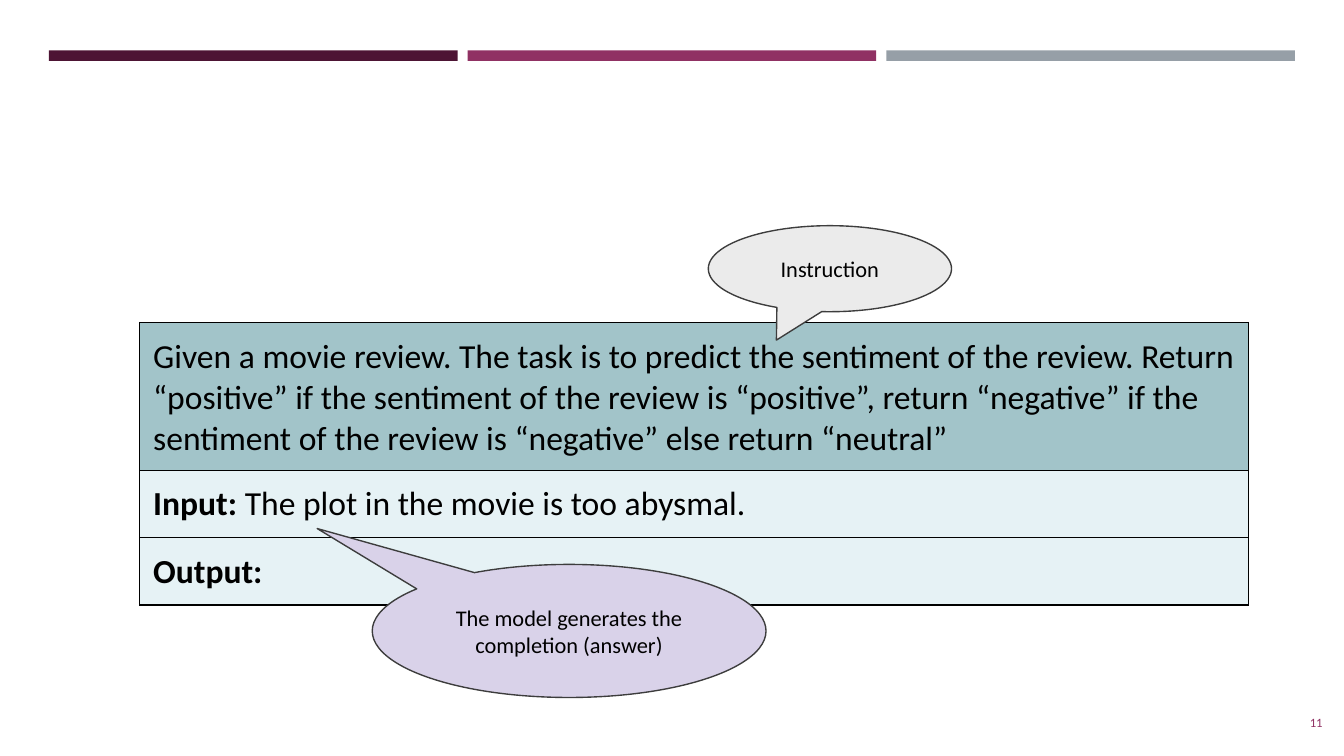
from lxml.etree import SubElement
from pptx import Presentation
from pptx.dml.color import RGBColor
from pptx.enum.shapes import MSO_SHAPE as SHAPE
from pptx.enum.text import MSO_ANCHOR as ANCHOR, PP_ALIGN as ALIGN
from pptx.oxml.ns import qn
from pptx.util import Inches, Pt

PLUM = RGBColor(0x4D, 0x14, 0x34)
MAGENTA = RGBColor(0x90, 0x31, 0x63)
SLATE = RGBColor(0x96, 0x9F, 0xA7)
TEAL = RGBColor(0xA2, 0xC4, 0xC9)
ICE = RGBColor(0xE6, 0xF2, 0xF5)
PALE = RGBColor(0xEB, 0xEB, 0xEB)
LILAC = RGBColor(0xD9, 0xD2, 0xE9)
DARK = RGBColor(0x3D, 0x3D, 0x3D)
BLACK = RGBColor(0, 0, 0)

COLS, ROWS = 100, 56.25
UNIT = Inches(0.1)
INSET = 1
MARGINS = ("margin_left", "margin_right", "margin_top", "margin_bottom")

PROMPT = [
    (11, TEAL, [("Given a movie review. The task is to predict the sentiment of the "
                 "review. Return “positive” if the sentiment of the review is "
                 "“positive”, return “negative” if the sentiment of the review is "
                 "“negative” else return “neutral”", False)]),
    (5, ICE, [("Input:", True), (" The plot in the movie is too abysmal.", False)]),
    (5, ICE, [("Output:", True)]),
]


def grid(*cells):
    return [int(c * UNIT) for c in cells]


def set_margins(target):
    for name in MARGINS:
        setattr(target, name, int(INSET * UNIT))


def write(p, runs, size, color=BLACK, align=ALIGN.LEFT):
    p.alignment = align
    for text, bold in runs:
        r = p.add_run()
        r.text = text
        style = {"name": "Calibri", "size": Pt(size), "bold": bold}
        for key, value in style.items():
            setattr(r.font, key, value)
        r.font.color.rgb = color


def write_frame(tf, text, size, color, align):
    tf.word_wrap = True
    tf.vertical_anchor = ANCHOR.MIDDLE
    set_margins(tf)
    write(tf.paragraphs[0], [(text, False)], size, color, align)


def add_bars(s, box, gap=0.75):
    x, y, w, h = box
    colors = (PLUM, MAGENTA, SLATE)
    width = (w - gap * (len(colors) - 1)) / len(colors)
    for i, color in enumerate(colors):
        sp = s.shapes.add_shape(SHAPE.RECTANGLE, *grid(x + i * (width + gap), y, width, h))
        sp.shadow.inherit = False
        sp.fill.solid()
        sp.fill.fore_color.rgb = color
        sp.line.fill.background()


def add_borders(cell):
    tc_pr = cell._tc.get_or_add_tcPr()
    for side in ("lnL", "lnR", "lnT", "lnB"):
        ln = SubElement(tc_pr, qn(f"a:{side}"), w=str(Pt(0.75)))
        fill = SubElement(ln, qn("a:solidFill"))
        SubElement(fill, qn("a:srgbClr"), val=str(BLACK))


def add_prompt_table(s, box):
    table = s.shapes.add_table(len(PROMPT), 1, *grid(*box)).table
    table.first_row = table.horz_banding = False
    for i, (height, color, runs) in enumerate(PROMPT):
        table.rows[i].height = int(height * UNIT)
        cell = table.cell(i, 0)
        set_margins(cell)
        add_borders(cell)
        cell.fill.solid()
        cell.fill.fore_color.rgb = color
        write(cell.text_frame.paragraphs[0], runs, 18)


def add_callout(s, box, text, color, tip):
    sp = s.shapes.add_shape(SHAPE.OVAL_CALLOUT, *grid(*box))
    sp.shadow.inherit = False
    for i, value in enumerate(tip):
        sp.adjustments[i] = value
    sp.fill.solid()
    sp.fill.fore_color.rgb = color
    sp.line.color.rgb = DARK
    sp.line.width = Pt(0.75)
    write_frame(sp.text_frame, text, 12, BLACK, ALIGN.CENTER)


def add_page_number(s, box, number):
    sp = s.shapes.add_textbox(*grid(*box))
    write_frame(sp.text_frame, number, 6.8, MAGENTA, ALIGN.RIGHT)


def main():
    prs = Presentation()
    prs.slide_width, prs.slide_height = grid(COLS, ROWS)
    s = prs.slides.add_slide(prs.slide_layouts[6])
    add_bars(s, (3.65, 3.75, 92.7, 0.78))
    add_page_number(s, (93.4, 51.9, 6, 3.7), "11")
    add_prompt_table(s, (10.4, 24, 82.5, 21))
    add_callout(s, (52.7, 16.8, 18.1, 6.4), "Instruction", PALE, (-0.22, 0.83))
    add_callout(s, (27.7, 42, 29.3, 9.9), "The model generates the completion (answer)",
                LILAC, (-0.64, -0.77))
    prs.save("out.pptx")


if __name__ == "__main__":
    main()
